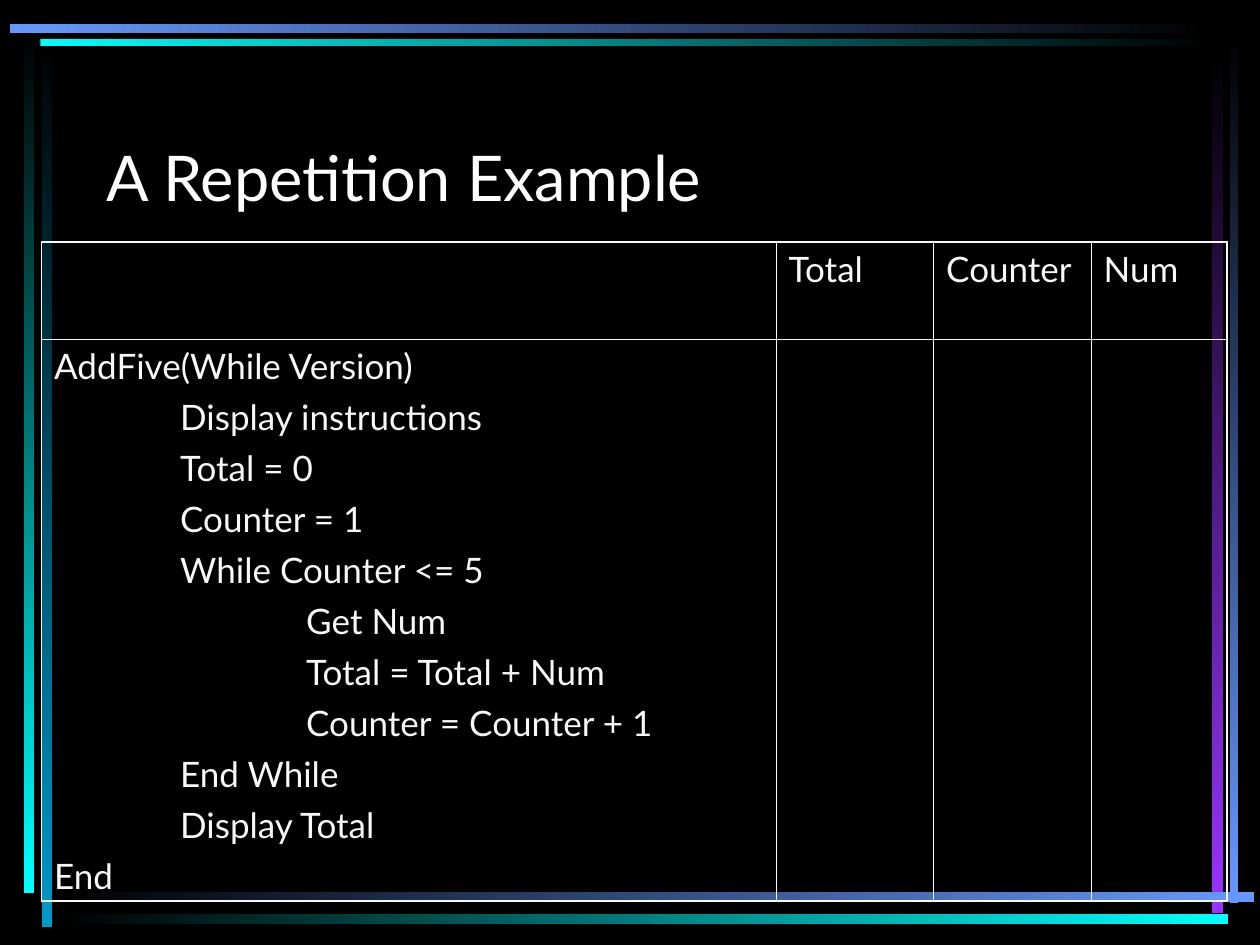
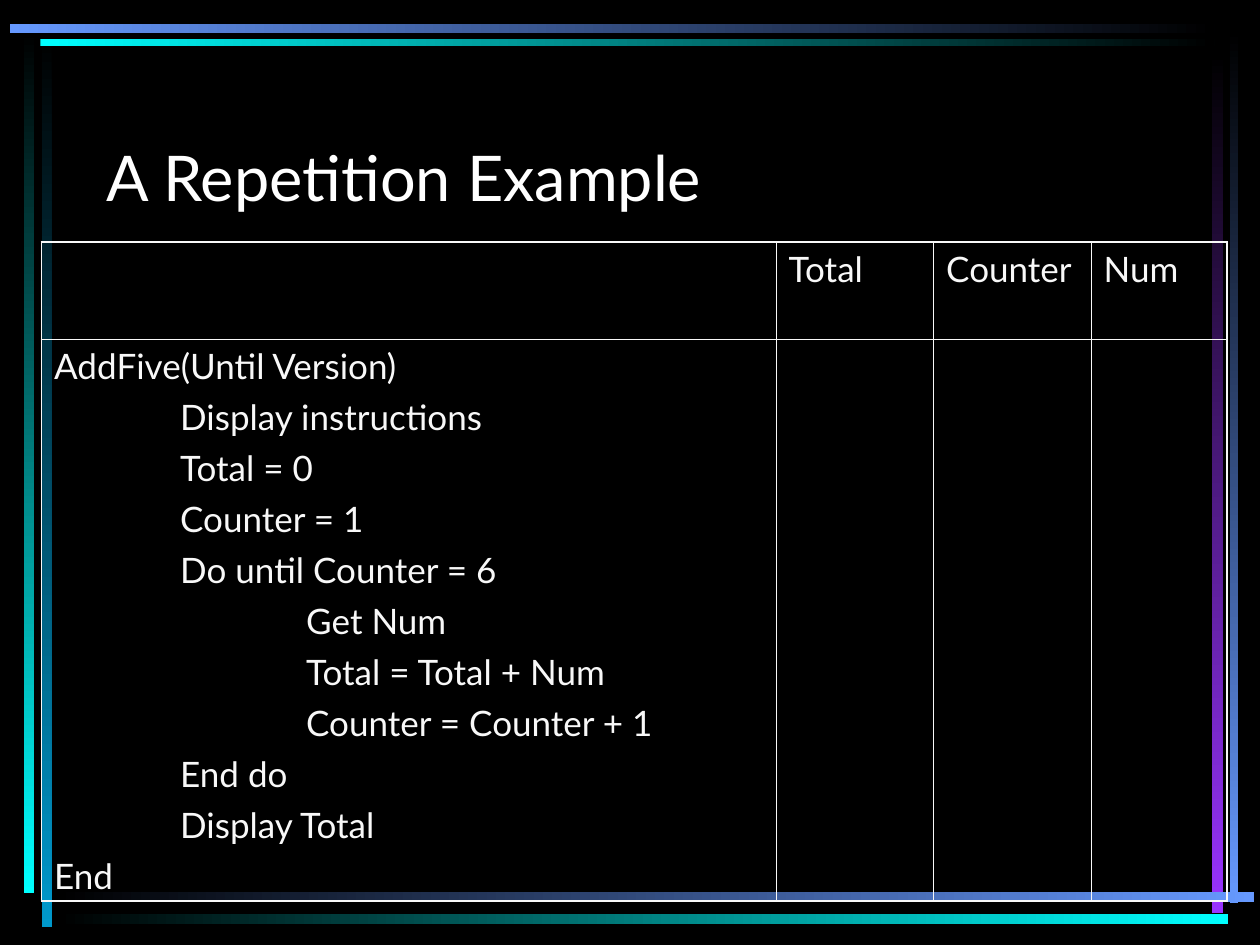
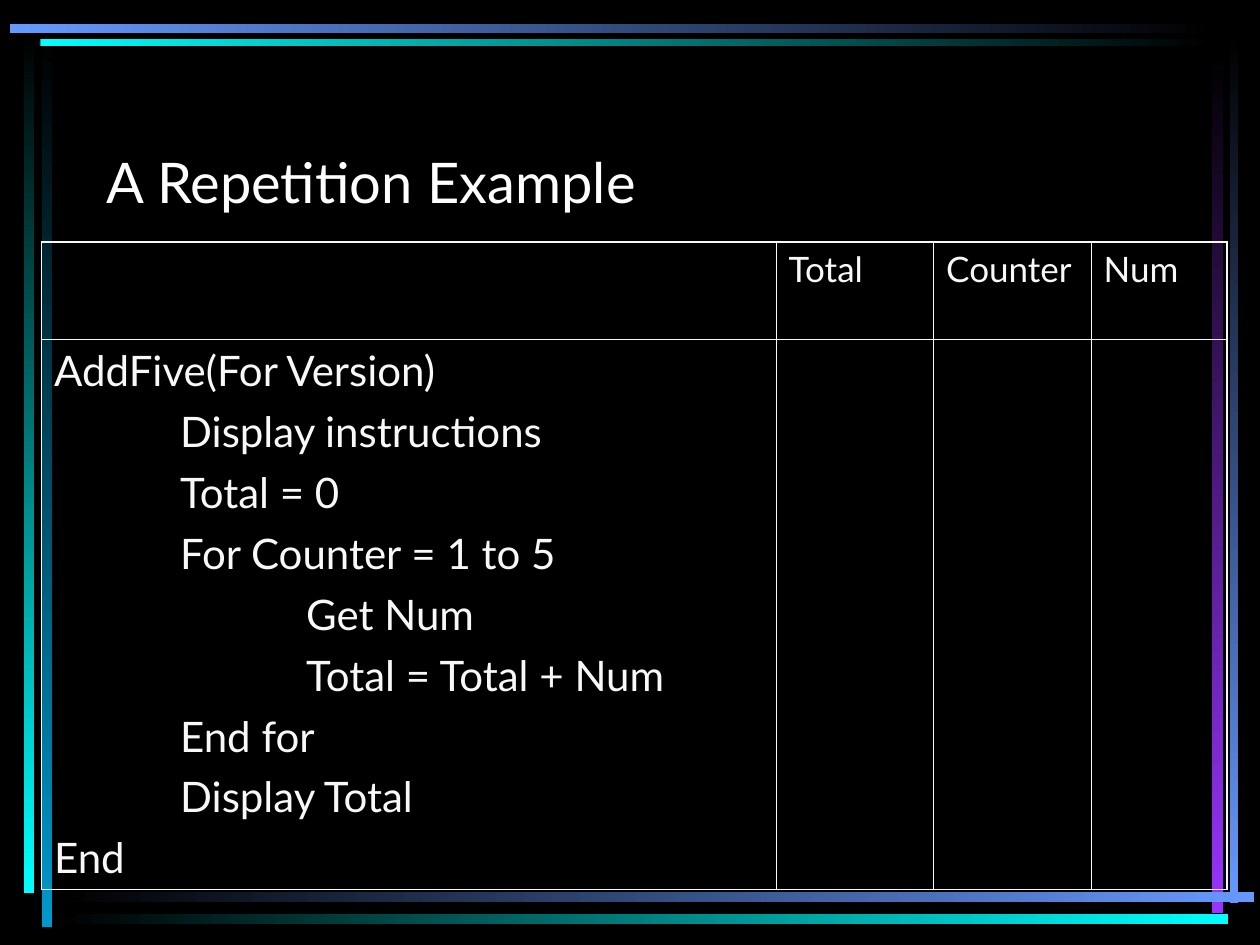
import pptx
import pptx.util
import pptx.dml.color
import pptx.enum.shapes
import pptx.enum.text
from lxml import etree
from pptx.oxml.ns import qn

RGB = pptx.dml.color.RGBColor
BLACK = RGB(0x00, 0x00, 0x00)
WHITE = RGB(0xFF, 0xFF, 0xFF)
OFF_WHITE = RGB(0xF8, 0xF8, 0xF8)
TEAL = RGB(0x00, 0x99, 0xCC)
CYAN = RGB(0x00, 0xFF, 0xFF)
BLUE = RGB(0x66, 0x99, 0xFF)
PURPLE = RGB(0x99, 0x33, 0xFF)

FONT = "Lato"
INCH = pptx.util.Inches(1)
WIDTH, HEIGHT = 10 * INCH, int(7.5 * INCH)
OUTER, INNER = pptx.util.Pt(1.08), pptx.util.Pt(0.45)
COLUMNS = [5.83, 1.25, 1.25, 1.08]
HEADINGS = ["", "Total", "Counter", "Num"]
HEADER_ROW = 0.77

# Frame bars: left, top, width, height, first colour, last colour
BARS = [
    (0.33, 0.28, 0.08, 7.08, BLACK, TEAL),
    (0.19, 0.25, 0.08, 6.84, BLACK, CYAN),
    (9.76, 0.24, 0.07, 6.93, BLACK, BLUE),
    (9.62, 0.42, 0.09, 6.83, BLACK, PURPLE),
    (0.45, 7.08, 9.50, 0.08, BLACK, BLUE),
    (0.45, 7.25, 9.30, 0.08, BLACK, CYAN),
    (0.32, 0.31, 9.32, 0.06, CYAN, BLACK),
    (0.08, 0.19, 9.56, 0.07, BLUE, BLACK),
]
TITLE_BOX = (0.75, 0.67, 8.5, 1.08)
TABLE_AT = (0.33, 1.92)


def emu(*inches):
    return [int(v * INCH) for v in inches]


def add_frame(s):
    """Fading bars along the four edges."""
    for left, top, width, height, first, last in BARS:
        bar = s.shapes.add_shape(pptx.enum.shapes.MSO_SHAPE.RECTANGLE,
                                 *emu(left, top, width, height))
        bar.shadow.inherit = False
        bar.line.fill.background()
        bar.fill.gradient()
        bar.fill.gradient_angle = 270 if height > width else 0
        for stop, color in zip(bar.fill.gradient_stops, (first, last)):
            stop.color.rgb = color


def style(p, size, color):
    p.font.name = FONT
    p.font.size = pptx.util.Pt(size)
    p.font.color.rgb = color


def add_title(s, box, text, size):
    tf = s.shapes.add_textbox(*emu(*box)).text_frame
    tf.word_wrap = True
    tf.vertical_anchor = pptx.enum.text.MSO_ANCHOR.BOTTOM
    p = tf.paragraphs[0]
    p.text = text
    style(p, size, WHITE)


def add_tab_stops(p):
    tabs = etree.SubElement(p._p.get_or_add_pPr(), qn("a:tabLst"))
    for inch in (1, 2):
        etree.SubElement(tabs, qn("a:tab"), pos=str(inch * INCH), algn="l")


def set_borders(cell, widths):
    """Widths run left, right, top, bottom."""
    tc_pr = cell._tc.get_or_add_tcPr()
    for i, (side, width) in enumerate(zip("LRTB", widths)):
        ln = etree.Element(qn(f"a:ln{side}"), w=str(width))
        fill = etree.SubElement(ln, qn("a:solidFill"))
        etree.SubElement(fill, qn("a:srgbClr"), val=str(OFF_WHITE))
        tc_pr.insert(i, ln)


def fill_cell(cell, lines, size, gap):
    tf = cell.text_frame
    for i, line in enumerate(lines):
        p = tf.paragraphs[0] if i == 0 else tf.add_paragraph()
        p.text = line
        if line.startswith("\t"):
            add_tab_stops(p)
        if i:
            p.space_before = pptx.util.Pt(gap)
        style(p, size, OFF_WHITE)


def add_trace_table(s, at, lines, code_size, gap, code_row):
    """Pseudocode on the left, a column to trace each variable."""
    rows = [HEADER_ROW, code_row]
    frame = s.shapes.add_table(len(rows), len(COLUMNS),
                               *emu(*at, sum(COLUMNS), sum(rows)))
    table = frame.table
    table.first_row = table.horz_banding = False
    for column, width in zip(table.columns, COLUMNS):
        column.width = emu(width)[0]
    for row, height in zip(table.rows, rows):
        row.height = emu(height)[0]

    last_row, last_col = len(rows) - 1, len(COLUMNS) - 1
    for r in range(len(rows)):
        for c in range(len(COLUMNS)):
            cell = table.cell(r, c)
            cell.fill.background()
            edges = (c == 0, c == last_col, r == 0, r == last_row)
            set_borders(cell, [OUTER if edge else INNER for edge in edges])

    for c, heading in enumerate(HEADINGS):
        if heading:
            fill_cell(table.cell(0, c), [heading], 20, 0)
    fill_cell(table.cell(1, 0), lines, code_size, gap)


def add_five(version, setup, loop, body, close):
    """Lines of one version of the algorithm."""
    outer = ["Display instructions", "Total = 0", *setup, loop]
    inner = ["Get Num", "Total = Total + Num", *body]
    return [f"AddFive({version} Version)",
            *("\t" + line for line in outer),
            *("\t\t" + line for line in inner),
            "\t" + close, "\tDisplay Total", "End"]


def add_example(prs, lines, title_size, code_size, gap, code_row):
    s = prs.slides.add_slide(prs.slide_layouts[6])
    s.background.fill.solid()
    s.background.fill.fore_color.rgb = BLACK
    add_frame(s)
    add_title(s, TITLE_BOX, "A Repetition Example", title_size)
    add_trace_table(s, TABLE_AT, lines, code_size, gap, code_row)


def main():
    prs = pptx.Presentation()
    prs.slide_width, prs.slide_height = WIDTH, HEIGHT
    start, step = ["Counter = 1"], ["Counter = Counter + 1"]
    add_example(prs, add_five("While", start, "While Counter <= 5", step,
                              "End While"), 36, 20, 5, 4.46)
    add_example(prs, add_five("Until", start, "Do until Counter = 6", step,
                              "End do"), 36, 20, 5, 4.46)
    add_example(prs, add_five("For", [], "For Counter = 1 to 5", [],
                              "End for"), 32, 24, 6, 4.37)
    prs.save("out.pptx")


if __name__ == "__main__":
    main()
